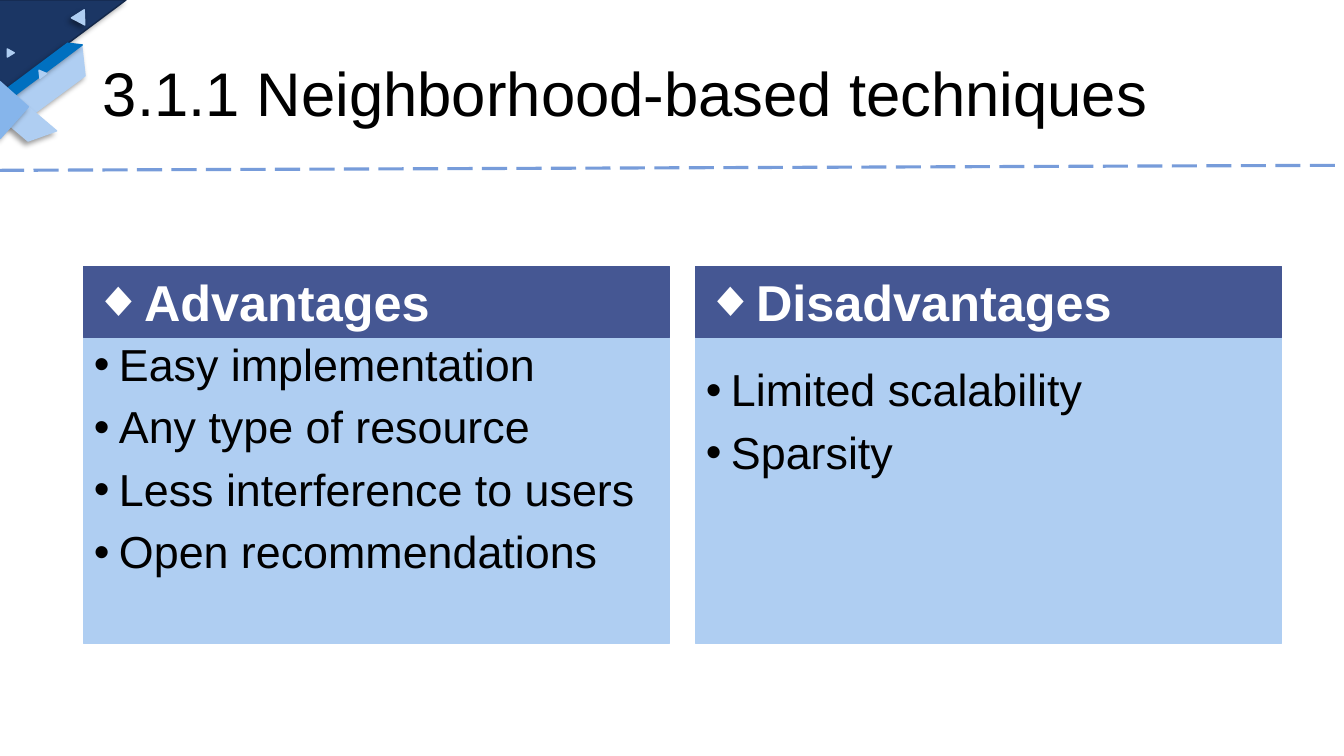
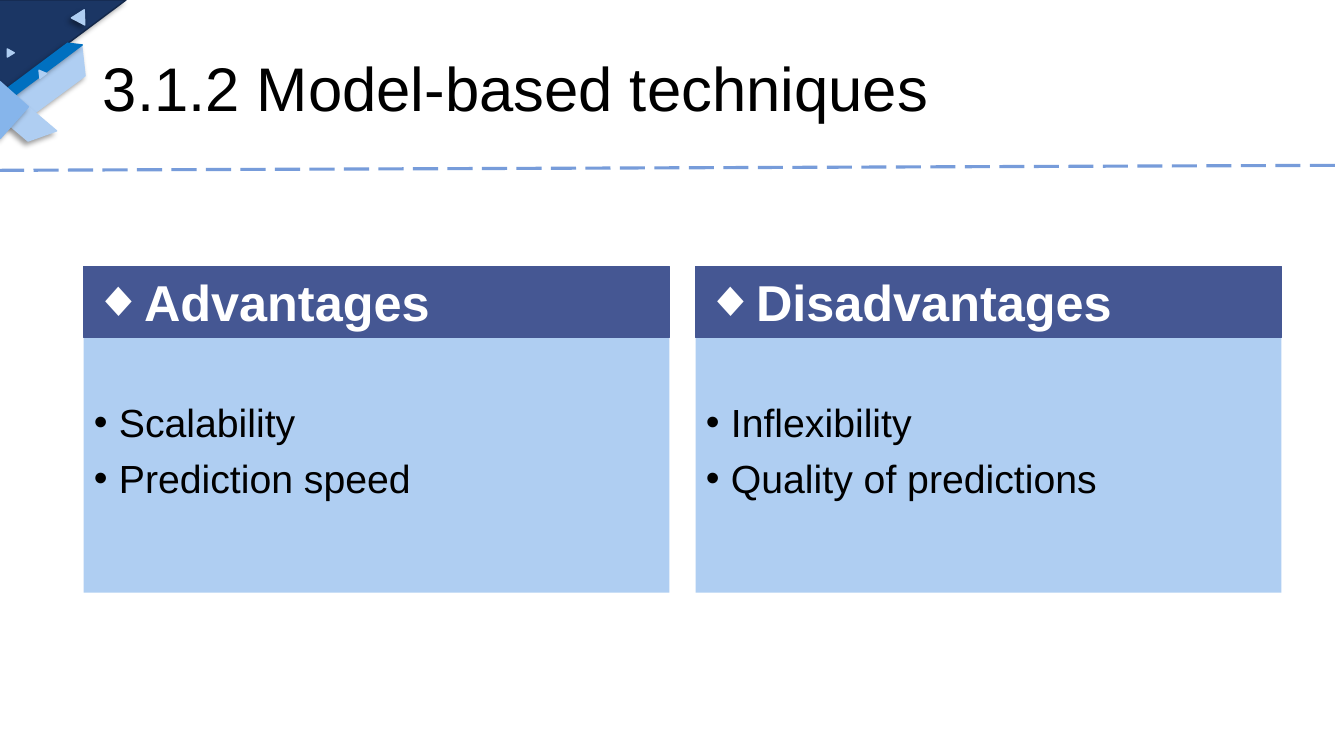
from dataclasses import dataclass

from lxml import etree
from pptx import Presentation
from pptx import util as u
from pptx.dml.color import RGBColor
from pptx.enum import dml, shapes, text
from pptx.oxml.ns import qn

EMU_PER_PX = 9144
SHAPE = shapes.MSO_SHAPE


@dataclass(frozen=True)
class Theme:
    font: str = "Arial"
    ink: str = "000000"
    white: str = "FFFFFF"
    pale: str = "AFCEF2"
    sky: str = "86B5EB"
    bright: str = "0070C0"
    navy: str = "1B3664"
    navy_edge: str = "14284A"
    dash: str = "779CDA"
    header: str = "455793"
    title_size: int = 44
    header_size: int = 36
    edge: float = 0.75


@dataclass(frozen=True)
class Piece:
    kind: SHAPE
    box: tuple[int, int, int, int]
    rotation: float
    fill: str
    line: str
    adj: float | None = None
    flip: bool = False
    shadow: bool = True


@dataclass(frozen=True)
class Panel:
    header: str
    items: tuple[str, ...]
    top: int = 335
    inset: int = 5


@dataclass(frozen=True)
class Comparison:
    title: str
    title_top: int
    bottom: int
    size: int
    outlined: bool
    panels: tuple[Panel, Panel]


T = Theme()
PANEL_LEFT, PANEL_WIDTH, PANEL_PITCH = 83, 581, 607
HEADER_TOP, HEADER_HEIGHT = 264, 71

CORNER = (
    Piece(SHAPE.TRAPEZOID, (3, 71, 95, 26), 143.6, T.pale, T.pale, adj=0.58),
    Piece(SHAPE.RIGHT_TRIANGLE, (-1, 0, 126, 94), 180, T.navy, T.navy_edge, flip=True),
    Piece(SHAPE.ISOSCELES_TRIANGLE, (73, 9, 15, 13), 27.7, T.pale, T.pale),
    Piece(SHAPE.ISOSCELES_TRIANGLE, (5, 50, 8, 7), 209, T.pale, T.pale, shadow=False),
    Piece(SHAPE.TRAPEZOID, (-7, 64, 95, 10), 323.2, T.bright, T.bright, adj=1.05),
    Piece(SHAPE.ISOSCELES_TRIANGLE, (37, 71, 8, 7), 203, T.pale, T.pale, shadow=False),
    Piece(SHAPE.TRAPEZOID, (-6, 107, 61, 26), 220.3, T.pale, T.pale, adj=0.58),
    Piece(SHAPE.RIGHT_TRIANGLE, (-19, 88, 38, 42), 221.6, T.sky, T.sky),
)

COMPARISONS = (
    Comparison("3.1.1 Neighborhood-based techniques", 23, 638, 32, True, (
        Panel("Advantages", ("Easy implementation", "Any type of resource",
                             "Less interference to users", "Open recommendations")),
        Panel("Disadvantages", ("Limited scalability", "Sparsity"), top=293, inset=72),
    )),
    Comparison("3.1.2 Model-based techniques", 18, 588, 28, False, (
        Panel("Advantages", ("Scalability", "Prediction speed"), inset=65),
        Panel("Disadvantages", ("Inflexibility", "Quality of predictions"), inset=65),
    )),
)


def px(n: int) -> u.Emu:
    return u.Emu(n * EMU_PER_PX)


def rgb(colour: str) -> RGBColor:
    return RGBColor.from_string(colour)


def place(sp, left: int, top: int, width: int, height: int) -> None:
    sp.left, sp.top, sp.width, sp.height = map(px, (left, top, width, height))


def paint(sp, fill: str, line: str | None, width: float) -> None:
    sp.fill.solid()
    sp.fill.fore_color.rgb = rgb(fill)
    if line:
        sp.line.color.rgb = rgb(line)
        sp.line.width = u.Pt(width)


def style(p, size: int, colour: str, bold: bool = False) -> None:
    p.alignment = text.PP_ALIGN.LEFT
    f = p.font
    f.name, f.size, f.bold = T.font, u.Pt(size), bold
    f.color.rgb = rgb(colour)


def bullet(p, char: str, indent: int) -> None:
    pPr = p._p.get_or_add_pPr()
    pPr.set("marL", str(px(indent)))
    pPr.set("indent", str(-px(indent)))
    font = etree.Element(qn("a:buFont"), typeface=T.font)
    mark = etree.Element(qn("a:buChar"), char=char)
    spacing = [e for e in pPr if e.tag in (qn("a:lnSpc"), qn("a:spcBef"), qn("a:spcAft"))]
    pPr[len(spacing):len(spacing)] = [font, mark]


def add_shadow(sp) -> None:
    effects = sp.element.spPr.find(qn("a:effectLst"))
    shadow = etree.SubElement(effects, qn("a:outerShdw"), blurRad=str(u.Pt(4)),
                              dist=str(u.Pt(3)), dir="8100000", algn="tr", rotWithShape="0")
    colour = etree.SubElement(shadow, qn("a:srgbClr"), val=T.ink)
    etree.SubElement(colour, qn("a:alpha"), val="40000")


def add_piece(grp, piece: Piece) -> None:
    sp = grp.shapes.add_shape(piece.kind, *map(px, piece.box))
    sp.rotation = piece.rotation
    sp.shadow.inherit = False
    paint(sp, piece.fill, piece.line, 1)
    if piece.adj is not None:
        sp.adjustments[0] = piece.adj
    if piece.flip:
        sp.element.spPr.get_or_add_xfrm().set("flipH", "1")
    if piece.shadow:
        add_shadow(sp)


def decorate_layout(layout, s) -> None:
    grp = s.shapes.add_group_shape()
    for piece in CORNER:
        add_piece(grp, piece)
    rule = s.shapes.add_connector(shapes.MSO_CONNECTOR.STRAIGHT,
                                  px(-1), px(169), px(1333), px(164))
    rule.line.color.rgb = rgb(T.dash)
    rule.line.width = u.Pt(2.25)
    rule.line.dash_style = dml.MSO_LINE.LONG_DASH
    etree.SubElement(rule.element.spPr, qn("a:effectLst"))
    for sp in (grp, rule):
        layout.shapes.element.append(sp.element)


def set_title(s, title: str, top: int) -> None:
    sp = s.shapes.title
    place(sp, 92, top, 1150, 145)
    tf = sp.text_frame
    tf.text = title
    tf.auto_size = text.MSO_AUTO_SIZE.NONE
    tf.vertical_anchor = text.MSO_ANCHOR.MIDDLE
    p = tf.paragraphs[0]
    p.line_spacing = 0.9
    style(p, T.title_size, T.ink)


def fill_body(sp, panel: Panel, left: int, c: Comparison) -> None:
    place(sp, left, panel.top, PANEL_WIDTH, c.bottom - panel.top)
    paint(sp, T.pale, T.pale if c.outlined else None, T.edge)
    tf = sp.text_frame
    tf.text = "\n".join(panel.items)
    tf.auto_size = text.MSO_AUTO_SIZE.NONE
    tf.vertical_anchor = text.MSO_ANCHOR.TOP
    tf.margin_top = px(panel.inset)
    for p in tf.paragraphs:
        p.line_spacing = 0.9
        p.space_before = u.Pt(10)
        style(p, c.size, T.ink)
        bullet(p, "•", 25)


def add_header(s, label: str, left: int) -> None:
    sp = s.shapes.add_shape(SHAPE.RECTANGLE, px(left), px(HEADER_TOP),
                            px(PANEL_WIDTH), px(HEADER_HEIGHT))
    sp.shadow.inherit = False
    paint(sp, T.header, T.header, T.edge)
    tf = sp.text_frame
    tf.text = label
    tf.word_wrap = True
    tf.auto_size = text.MSO_AUTO_SIZE.SHAPE_TO_FIT_TEXT
    tf.vertical_anchor = text.MSO_ANCHOR.TOP
    style(tf.paragraphs[0], T.header_size, T.white, bold=True)
    bullet(tf.paragraphs[0], "◆", 50)


def build_slide(s, c: Comparison) -> None:
    set_title(s, c.title, c.title_top)
    for i, panel in enumerate(c.panels):
        left = PANEL_LEFT + i * PANEL_PITCH
        fill_body(s.placeholders[i + 1], panel, left, c)
        add_header(s, panel.header, left)


def main() -> None:
    prs = Presentation()
    prs.slide_width, prs.slide_height = px(1333), px(750)
    layout = prs.slide_layouts.get_by_name("Two Content")
    slides = [prs.slides.add_slide(layout) for _ in COMPARISONS]
    decorate_layout(layout, slides[0])
    for s, c in zip(slides, COMPARISONS):
        build_slide(s, c)
    prs.save("out.pptx")


if __name__ == "__main__":
    main()
